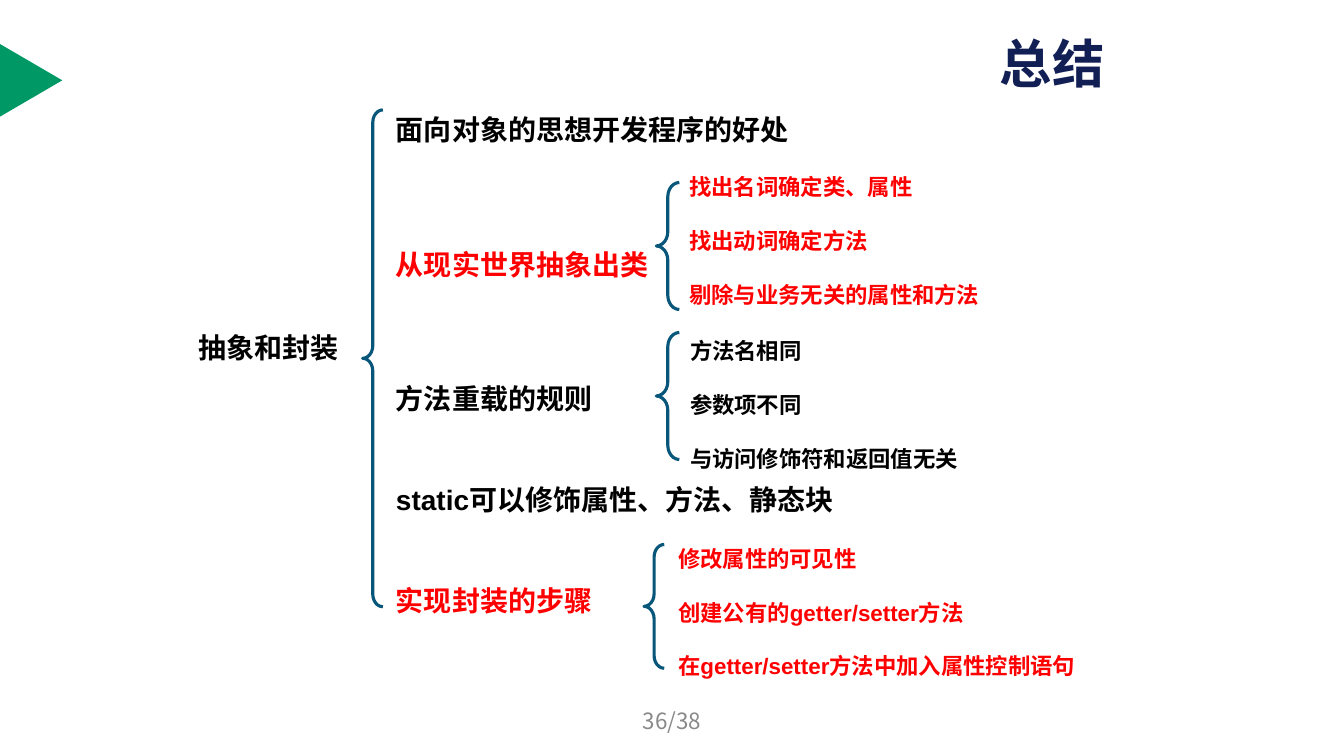
from pptx import Presentation
from pptx import util as u
from pptx.dml.color import RGBColor
from pptx.enum import shapes, text

NAVY = RGBColor(0x12, 0x1F, 0x55)
GREEN = RGBColor(0x00, 0x99, 0x66)
TEAL = RGBColor(0x08, 0x57, 0x7A)
RED = RGBColor(0xFF, 0x00, 0x00)
BLACK = RGBColor(0x00, 0x00, 0x00)
GRAY = RGBColor(0x89, 0x89, 0x89)
HEADING_FONT, BODY_FONT = "Noto Sans CJK SC", "Arial"

# Content: places are left, top, width, height in cm
TITLE = "总结"
PAGE_NUMBER = "36/38"
SUBJECT = "抽象和封装"

# Topic, colour, blank lines above it
TOPICS = [
    ("面向对象的思想开发程序的好处", BLACK, 0),
    ("从现实世界抽象出类", RED, 3),
    ("方法重载的规则", BLACK, 3),
    ("static可以修饰属性、方法、静态块", BLACK, 2),
    ("实现封装的步骤", RED, 2),
]
# Place, colour, points
DETAILS = [
    ((17.12, 4.24, 9.02, 5.74), RED,
     ["找出名词确定类、属性", "找出动词确定方法", "剔除与业务无关的属性和方法"]),
    ((17.14, 8.38, 9.02, 5.21), BLACK,
     ["方法名相同", "参数项不同", "与访问修饰符和返回值无关"]),
    ((16.84, 13.61, 11.71, 5.05), RED,
     ["修改属性的可见性", "创建公有的getter/setter方法",
      "在getter/setter方法中加入属性控制语句"]),
]
BRACES = [
    (9.14, 2.77, 0.51, 12.52),
    (16.54, 4.6, 0.58, 3.2),
    (16.54, 8.38, 0.58, 3.2),
    (16.23, 13.72, 0.51, 3.12),
]

deck = Presentation()
deck.slide_width, deck.slide_height = u.Cm(33.87), u.Cm(19.05)
page = deck.slides.add_slide(deck.slide_layouts[5])


def lengths(place):
    return [u.Cm(value) for value in place]


def style(para, size, color, font=BODY_FONT, bold=True):
    para.font.size = u.Pt(size)
    para.font.name = font
    para.font.bold = bold
    para.font.color.rgb = color


def add_lines(place, lines, size):
    """Add a text box; each line is (wording, colour, blank lines above)."""
    box = page.shapes.add_textbox(*lengths(place))
    frame = box.text_frame
    frame.word_wrap = True
    pitch = 1.2 * size
    for index, (wording, color, gap) in enumerate(lines):
        para = frame.add_paragraph() if index else frame.paragraphs[0]
        para.text = wording
        para.line_spacing = u.Pt(pitch)
        para.space_before = u.Pt(gap * pitch)
        style(para, size, color)
    return frame


# Green marker at the left edge
marker = page.shapes.add_shape(
    shapes.MSO_SHAPE.ISOSCELES_TRIANGLE, *lengths((-0.13, 1.24, 1.83, 1.57)))
marker.rotation = 90
marker.shadow.inherit = False
marker.fill.solid()
marker.fill.fore_color.rgb = GREEN
marker.line.fill.background()

# Title
title = page.shapes.title
title.left, title.top, title.width, title.height = lengths((24.94, 0.76, 3.4, 1.63))
title.text_frame.text = TITLE
title.text_frame.vertical_anchor = text.MSO_ANCHOR.MIDDLE
title_para = title.text_frame.paragraphs[0]
title_para.alignment = text.PP_ALIGN.LEFT
style(title_para, 37.4, NAVY, HEADING_FONT)

# Subject, topics and details
subject = add_lines((4.24, 8.2, 5.05, 1.12), [(SUBJECT, BLACK, 0)], 20)
subject.paragraphs[0].alignment = text.PP_ALIGN.CENTER
add_lines((9.73, 2.72, 11.89, 16.51), TOPICS, 20)
for place, color, points in DETAILS:
    add_lines(place, [(point, color, min(index, 1))
                      for index, point in enumerate(points)], 16)

# Braces
for place in BRACES:
    brace = page.shapes.add_shape(shapes.MSO_SHAPE.LEFT_BRACE, *lengths(place))
    brace.adjustments[0] = 0.62
    brace.shadow.inherit = False
    brace.fill.background()
    brace.line.color.rgb = TEAL
    brace.line.width = u.Pt(2.25)

# Page number
number = page.shapes.add_textbox(*lengths((11.58, 17.65, 10.72, 1.02))).text_frame
number.word_wrap = True
number.vertical_anchor = text.MSO_ANCHOR.MIDDLE
number.text = PAGE_NUMBER
number.paragraphs[0].alignment = text.PP_ALIGN.CENTER
style(number.paragraphs[0], 16, GRAY, HEADING_FONT, bold=False)

deck.save("out.pptx")
